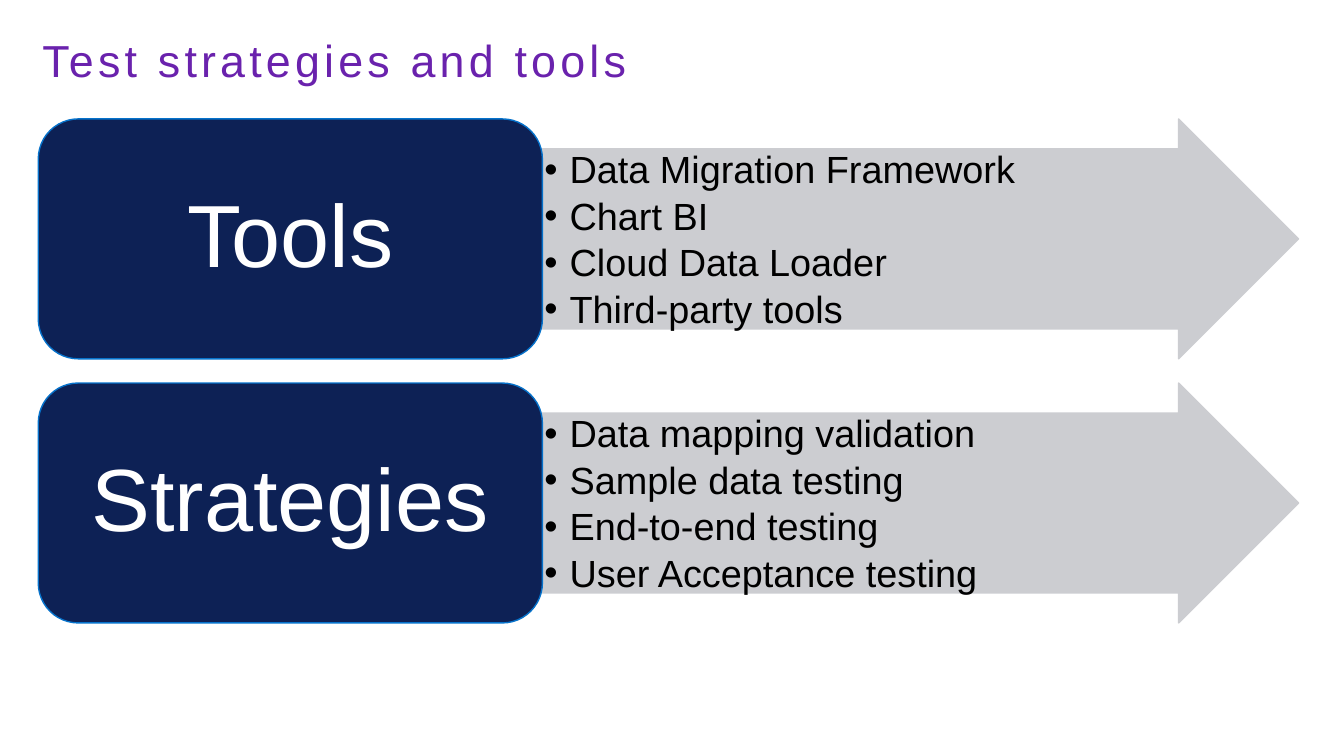
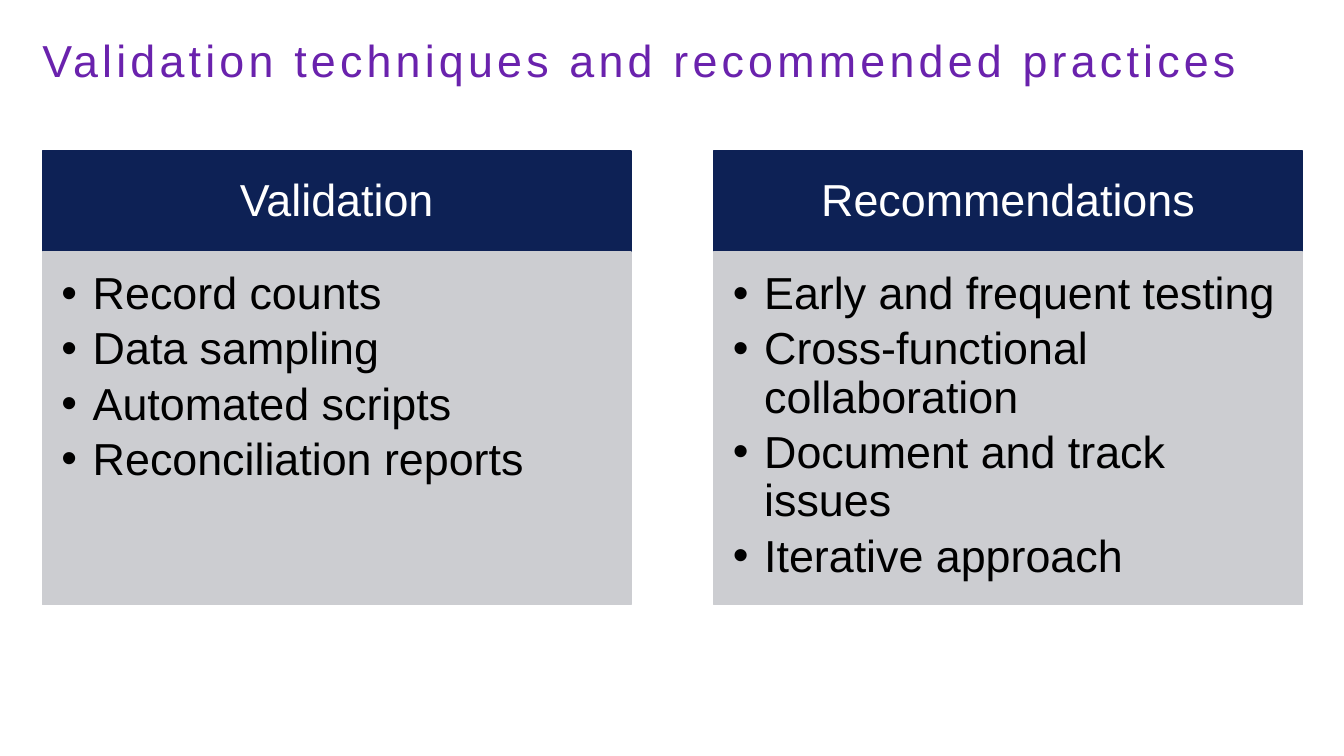
from lxml import etree
from pptx import Presentation
from pptx.dml.color import RGBColor
from pptx.enum.shapes import MSO_SHAPE as SHAPE
from pptx.enum.text import MSO_ANCHOR as ANCHOR, MSO_AUTO_SIZE as AUTO_SIZE, PP_ALIGN as ALIGN
from pptx.oxml.ns import qn
from pptx.util import Inches, Pt

# Shared style
PURPLE = RGBColor(0x6A, 0x22, 0xAD)
NAVY = RGBColor(0x0D, 0x21, 0x55)
BLUE = RGBColor(0x06, 0x72, 0xCB)
GREY = RGBColor(0xCC, 0xCD, 0xD1)
WHITE = RGBColor(0xFF, 0xFF, 0xFF)
BLACK = RGBColor(0x00, 0x00, 0x00)
FONT = "Arial"
LINE_SPACING = 0.9
TITLE_SIZE = 32
TITLE_TRACKING = 3  # points between letters

# Slide content
TOOLS_AND_STRATEGIES = [
    ("Tools", ["Data Migration Framework", "Chart BI",
               "Cloud Data Loader", "Third-party tools"]),
    ("Strategies", ["Data mapping validation", "Sample data testing",
                    "End-to-end testing", "User Acceptance testing"]),
]
PRACTICES = [
    ("Validation", ["Record counts", "Data sampling",
                    "Automated scripts", "Reconciliation reports"]),
    ("Recommendations", ["Early and frequent testing", "Cross-functional collaboration",
                         "Document and track issues", "Iterative approach"]),
]


def style_paragraph(paragraph, size, color, align=ALIGN.LEFT):
    paragraph.alignment = align
    paragraph.line_spacing = LINE_SPACING
    paragraph.font.name = FONT
    paragraph.font.size = Pt(size)
    paragraph.font.color.rgb = color


def set_frame(frame, margins, anchor):
    frame.word_wrap = True
    frame.auto_size = AUTO_SIZE.NONE
    frame.vertical_anchor = anchor
    (frame.margin_left, frame.margin_top,
     frame.margin_right, frame.margin_bottom) = map(Inches, margins)


def add_titled_slide(prs, text):
    slide = prs.slides.add_slide(prs.slide_layouts[5])
    title = slide.shapes.title
    title.left, title.top, title.width, title.height = map(Inches, (0.42, 0.38, 12.5, 0.48))
    set_frame(title.text_frame, (0, 0, 0, 0), ANCHOR.TOP)
    title.text_frame.text = text
    heading = title.text_frame.paragraphs[0]
    style_paragraph(heading, TITLE_SIZE, PURPLE)
    heading._p.pPr.find(qn("a:defRPr")).set("spc", str(TITLE_TRACKING * 100))
    return slide


def add_block(slide, preset, box, fill, line):
    block = slide.shapes.add_shape(preset, *map(Inches, box))
    block.shadow.inherit = False
    block.fill.solid()
    block.fill.fore_color.rgb = fill
    block.line.color.rgb = line
    block.line.width = Pt(1)
    return block


def write_label(block, text, size):
    set_frame(block.text_frame, (0.25, 0.14, 0.25, 0.14), ANCHOR.MIDDLE)
    block.text_frame.text = text
    style_paragraph(block.text_frame.paragraphs[0], size, WHITE, ALIGN.CENTER)


def write_bullets(block, items, size, indent, margins):
    frame = block.text_frame
    set_frame(frame, margins, ANCHOR.TOP)
    frame.text = "\n".join(items)
    for paragraph in frame.paragraphs:
        props = paragraph._p.get_or_add_pPr()
        props.set("marL", str(Inches(indent)))
        props.set("indent", str(-Inches(indent)))
        etree.SubElement(props, qn("a:buFont")).set("typeface", FONT)
        etree.SubElement(props, qn("a:buChar")).set("char", "•")
        paragraph.space_after = Pt(round(0.15 * size, 1))
        style_paragraph(paragraph, size, BLACK)


def add_arrow_row(slide, left, top, width, height, label, items):
    """Rounded label on the left, bulleted arrow on the right."""
    label_width = 0.4 * width
    arrow = add_block(slide, SHAPE.RIGHT_ARROW,
                      (left + label_width, top, width - label_width, height), GREY, GREY)
    arrow.adjustments[0] = 0.75
    arrow.adjustments[1] = 0.5
    write_bullets(arrow, items, 27, 0.25, (0.02, 0.02, 0.5, 0.02))
    badge = add_block(slide, SHAPE.ROUNDED_RECTANGLE,
                      (left, top, label_width, height), NAVY, BLUE)
    write_label(badge, label, 63)


def add_list_column(slide, left, top, width, height, label, items):
    """Header band above a bulleted panel."""
    header_height = 1
    header = add_block(slide, SHAPE.RECTANGLE, (left, top, width, header_height), NAVY, NAVY)
    write_label(header, label, 32)
    panel = add_block(slide, SHAPE.RECTANGLE,
                      (left, top + header_height, width, height - header_height), GREY, GREY)
    write_bullets(panel, items, 32, 0.31, (0.19, 0.19, 0.25, 0.28))


def build_strategies_slide(prs):
    slide = add_titled_slide(prs, "Test strategies and tools")
    row_height, gap = 2.38, 0.24
    for i, (label, items) in enumerate(TOOLS_AND_STRATEGIES):
        add_arrow_row(slide, 0.38, 1.18 + i * (row_height + gap), 12.5, row_height, label, items)


def build_practices_slide(prs):
    slide = add_titled_slide(prs, "Validation techniques and recommended practices")
    column_width, gap = 5.84, 0.82
    for i, (label, items) in enumerate(PRACTICES):
        add_list_column(slide, 0.42 + i * (column_width + gap), 1.5, column_width, 4.5,
                        label, items)


def main():
    prs = Presentation()
    prs.slide_width, prs.slide_height = Inches(13.33), Inches(7.5)
    build_strategies_slide(prs)
    build_practices_slide(prs)
    prs.save("out.pptx")


if __name__ == "__main__":
    main()
